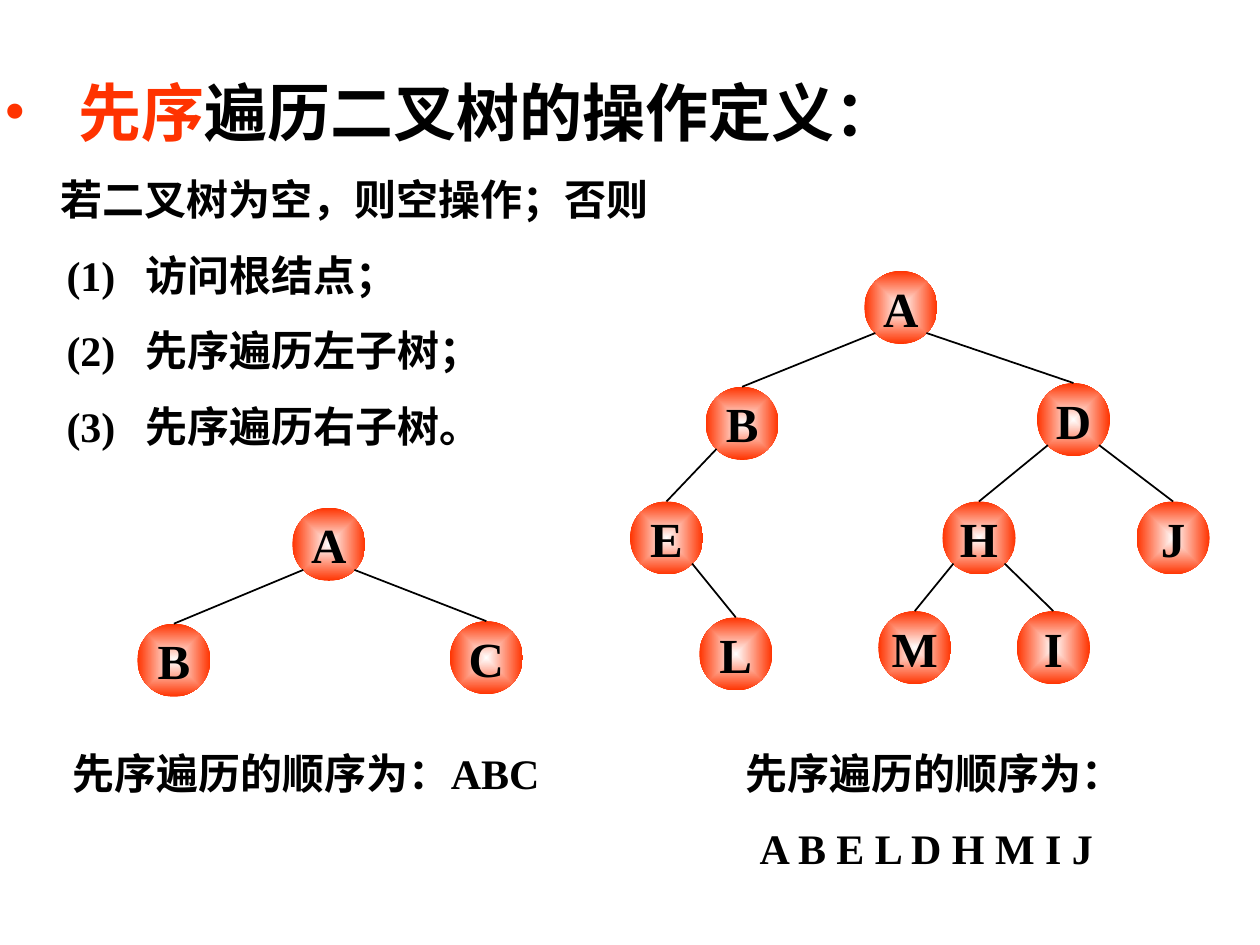
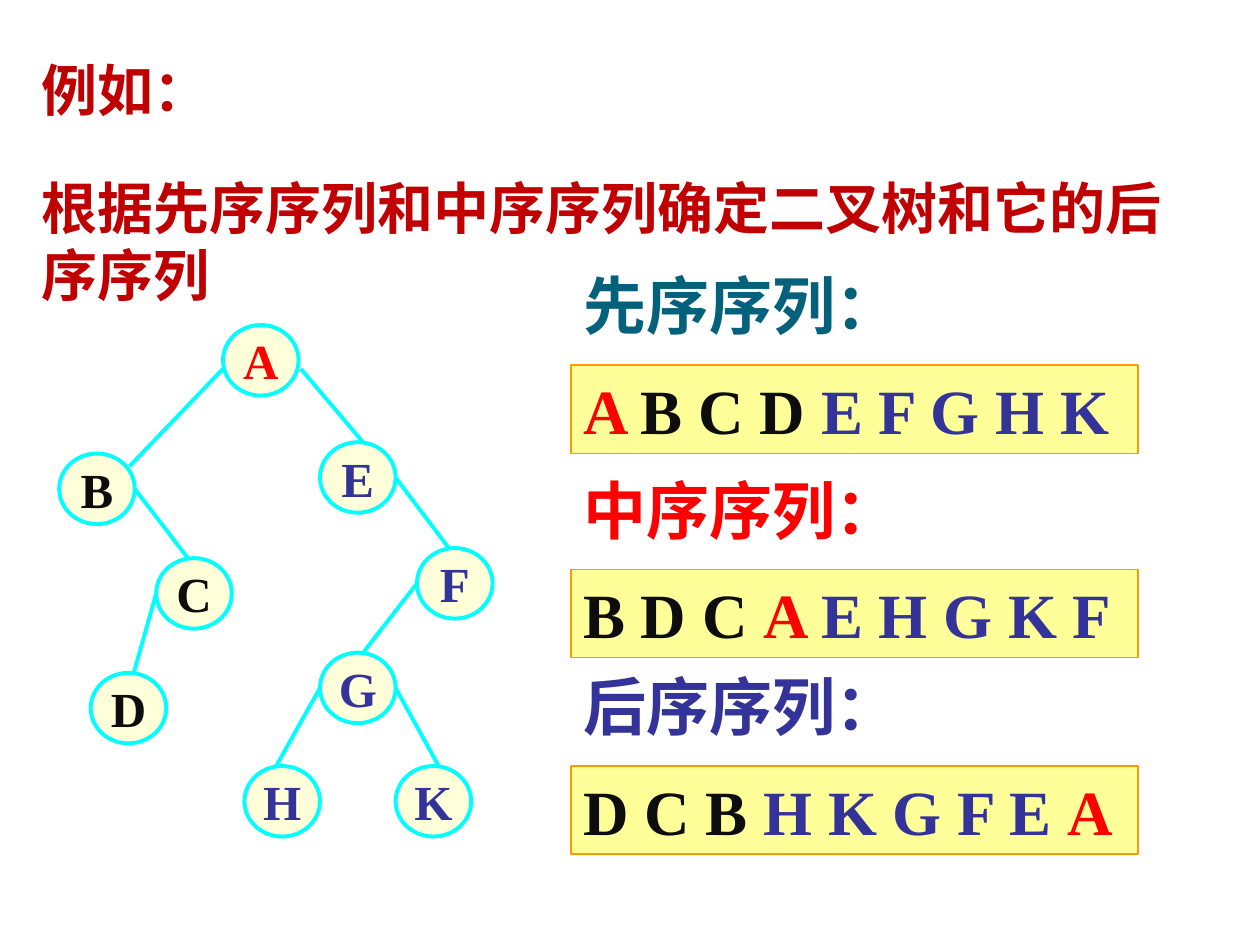
from itertools import groupby

from lxml import etree
from pptx import Presentation
from pptx.dml.color import RGBColor
from pptx.enum.shapes import MSO_CONNECTOR, MSO_SHAPE
from pptx.enum.text import MSO_ANCHOR, MSO_AUTO_SIZE, PP_ALIGN
from pptx.oxml.ns import qn
from pptx.util import Inches, Pt

FONT = "Times New Roman"
TITLE_ONLY = 5
OVAL, RECTANGLE = MSO_SHAPE.OVAL, MSO_SHAPE.RECTANGLE
STRAIGHT = MSO_CONNECTOR.STRAIGHT
MIDDLE, TOP_ANCHOR = MSO_ANCHOR.MIDDLE, MSO_ANCHOR.TOP
LEFT_ALIGN, CENTER = PP_ALIGN.LEFT, PP_ALIGN.CENTER

BLACK = RGBColor(0x00, 0x00, 0x00)
WHITE = RGBColor(0xFF, 0xFF, 0xFF)
ORANGE_RED = RGBColor(0xFF, 0x33, 0x00)
RED = RGBColor(0xFF, 0x00, 0x00)
DARK_RED = RGBColor(0xC0, 0x00, 0x00)
TEAL = RGBColor(0x04, 0x61, 0x7B)
INDIGO = RGBColor(0x33, 0x33, 0x99)
INK = RGBColor(0x0D, 0x0D, 0x0D)
CYAN = RGBColor(0x00, 0xFF, 0xFF)
CREAM = RGBColor(0xFF, 0xFF, 0xD9)
YELLOW = RGBColor(0xFF, 0xFF, 0x99)
AMBER = RGBColor(0xFF, 0x99, 0x00)

# Points on a node, as shares of its width and height
LEFT, RIGHT, TOP = (0, 0.5), (1, 0.5), (0.5, 0)
LOWER_LEFT, LOWER_RIGHT = (0.15, 0.85), (0.85, 0.85)
TOP_LEFT, TOP_RIGHT = (0.42, 0), (0.57, 0)

# Slide 1
DEFINITION_TITLE = [("先序", ORANGE_RED), ("遍历二叉树的操作定义：", BLACK)]
DEFINITION_INTRO = "若二叉树为空，则空操作；否则"
DEFINITION_STEPS = ["访问根结点；", "先序遍历左子树；", "先序遍历右子树。"]
ORDER_NOTES = [
    ("先序遍历的顺序为：ABC", (0.48, 5.88, 4.25, 0.5)),
    ("先序遍历的顺序为：", (5.82, 5.88, 3.58, 0.5)),
    ("A B E L D H M I J", (5.93, 6.48, 2.97, 0.5)),
]
# Each tree: node positions, then (parent, child, start, end) branches
SMALL_TREE = (
    {"A": (2.32, 4.03), "B": (1.09, 4.95), "C": (3.57, 4.93)},
    [("A", "B", LOWER_LEFT, TOP), ("A", "C", LOWER_RIGHT, TOP)],
)
LARGE_TREE = (
    {
        "A": (6.86, 2.15), "B": (5.6, 3.07), "D": (8.23, 3.04),
        "E": (5, 3.98), "H": (7.48, 3.98), "J": (9.02, 3.98),
        "L": (5.55, 4.9), "M": (6.97, 4.85), "I": (8.07, 4.85),
    },
    [
        ("A", "B", LOWER_LEFT, TOP), ("A", "D", LOWER_RIGHT, TOP),
        ("B", "E", LOWER_LEFT, TOP), ("E", "L", LOWER_RIGHT, TOP),
        ("D", "H", LOWER_LEFT, TOP), ("D", "J", LOWER_RIGHT, TOP),
        ("H", "M", LOWER_LEFT, TOP), ("H", "I", LOWER_RIGHT, TOP),
    ],
)

# Slide 2
EXAMPLE_TITLE = [("例如：", DARK_RED)]
EXAMPLE_TASK = "根据先序序列和中序序列确定二叉树和它的后序序列"
EXAMPLE_TREE = (
    {
        "A": (1.77, 2.58), "B": (0.47, 3.6), "C": (1.24, 4.43),
        "D": (0.72, 5.34), "E": (2.54, 3.51), "F": (3.31, 4.35),
        "G": (2.54, 5.18), "H": (1.94, 6.08), "K": (3.14, 6.08),
    },
    [
        ("A", "B", (0, 0.62), (0.93, 0.18)), ("B", "C", RIGHT, TOP_LEFT),
        ("C", "D", LEFT, TOP_RIGHT), ("A", "E", (1.03, 0.62), TOP_RIGHT),
        ("E", "F", RIGHT, TOP_LEFT), ("F", "G", LEFT, TOP_RIGHT),
        ("G", "H", LEFT, TOP_LEFT), ("G", "K", RIGHT, TOP_RIGHT),
    ],
)
SEQUENCES = [
    ("先序序列：", TEAL, "ABCDEFGHK", 2.07),
    ("中序序列：", RED, "BDCAEHGKF", 3.69),
    ("后序序列：", INDIGO, "DCBHKGFEA", 5.25),
]
SEQUENCE_LEFT, SEQUENCE_WIDTH, SEQUENCE_DROP = 4.53, 4.5, 0.83


def letter_colour(letter):
    """Root red, left subtree dark, right subtree indigo."""
    return RED if letter == "A" else INK if letter in "BCD" else INDIGO


def inches(values):
    return [Inches(value) for value in values]


def write_spans(para, spans, size):
    for text, colour in spans:
        span = para.add_run()
        span.text = text
        span.font.color.rgb = colour
    para.font.name = FONT
    para.font.size = Pt(size)
    para.font.bold = True


def hang(para, margin, indent):
    properties = para._p.get_or_add_pPr()
    properties.set("marL", str(Inches(margin)))
    properties.set("indent", str(Inches(indent)))
    return properties


def add_text(slide, spans, place, size):
    frame = slide.shapes.add_textbox(*inches(place)).text_frame
    frame.word_wrap = True
    write_spans(frame.paragraphs[0], spans, size)
    return frame


def set_title(slide, spans, place, size):
    title = slide.shapes.title
    title.left, title.top, title.width, title.height = inches(place)
    frame = title.text_frame
    frame.word_wrap = True
    frame.auto_size = MSO_AUTO_SIZE.NONE
    frame.vertical_anchor = MIDDLE
    para = frame.paragraphs[0]
    para.alignment = LEFT_ALIGN
    return frame, para, lambda: write_spans(para, spans, size)


def add_filled(slide, kind, place, spans, size):
    shape = slide.shapes.add_shape(kind, *inches(place))
    shape.shadow.inherit = False
    write_spans(shape.text_frame.paragraphs[0], spans, size)
    return shape


def paint_glow(node):
    """White centre fading to orange-red at the rim."""
    node.line.fill.background()
    node.fill.gradient()
    for stop, colour in zip(node.fill.gradient_stops, (WHITE, ORANGE_RED)):
        stop.color.rgb = colour
    gradient = node._element.spPr.find(qn("a:gradFill"))
    gradient.remove(gradient.find(qn("a:lin")))
    shade = etree.SubElement(gradient, qn("a:path"), path="rect")
    etree.SubElement(shade, qn("a:fillToRect"), l="50000", t="50000", r="50000", b="50000")


def paint_outlined(node):
    paint_flat(node, CREAM, CYAN, 2.25)


def paint_flat(shape, fill, line, width):
    shape.fill.solid()
    shape.fill.fore_color.rgb = fill
    shape.line.color.rgb = line
    shape.line.width = Pt(width)


def add_tree(slide, tree, node_size, paint, colour_of, branch_colour, branch_width):
    nodes, branches = tree
    for letter, corner in nodes.items():
        node = add_filled(slide, OVAL, corner + node_size, [(letter, colour_of(letter))], 28)
        paint(node)
        frame = node.text_frame
        frame.word_wrap = False
        frame.vertical_anchor = MIDDLE
        frame.paragraphs[0].alignment = CENTER

    def point(letter, share):
        return [Inches(corner + part * length)
                for corner, part, length in zip(nodes[letter], share, node_size)]

    for parent, child, start, end in branches:
        branch = slide.shapes.add_connector(STRAIGHT, *point(parent, start), *point(child, end))
        branch.line.color.rgb = branch_colour
        branch.line.width = Pt(branch_width)
        etree.SubElement(branch._element.spPr, qn("a:effectLst"))


def build_definition(slide):
    frame, para, write = set_title(slide, DEFINITION_TITLE, (0, 0.53, 8, 0.7), 36)
    frame.margin_left = Inches(0.03)
    properties = hang(para, 0.59, -0.59)
    bullet_colour = etree.SubElement(properties, qn("a:buClr"))
    etree.SubElement(bullet_colour, qn("a:srgbClr"), val=str(ORANGE_RED))
    etree.SubElement(properties, qn("a:buFont"), typeface=FONT)
    etree.SubElement(properties, qn("a:buChar"), char="•")
    write()

    body = add_text(slide, [(DEFINITION_INTRO, BLACK)], (0.38, 1.13, 5.5, 2.5), 24)
    for number, step in enumerate(DEFINITION_STEPS, 1):
        para = body.add_paragraph()
        hang(para, 0.68, -0.63)
        write_spans(para, [(f"({number})\t{step}", BLACK)], 24)
    for para in body.paragraphs:
        para.line_spacing = 1.5

    for note, place in ORDER_NOTES:
        add_text(slide, [(note, BLACK)], place, 24)
    for tree in (SMALL_TREE, LARGE_TREE):
        add_tree(slide, tree, (0.58, 0.58), paint_glow, lambda letter: BLACK, BLACK, 1)


def build_example(slide):
    write = set_title(slide, EXAMPLE_TITLE, (0.23, 0.39, 7.79, 0.64), 32)[-1]
    write()
    add_text(slide, [(EXAMPLE_TASK, DARK_RED)], (0.23, 1.33, 9.53, 1.17), 32)
    add_tree(slide, EXAMPLE_TREE, (0.6, 0.56), paint_outlined, letter_colour, CYAN, 2.25)

    for name, colour, letters, top in SEQUENCES:
        add_text(slide, [(name, colour)], (SEQUENCE_LEFT, top, 2.83, 0.7), 36)
        spans = [(" ".join(group) + " ", shade) for shade, group in groupby(letters, letter_colour)]
        spans[-1] = (spans[-1][0].rstrip(), spans[-1][1])
        place = (SEQUENCE_LEFT, top + SEQUENCE_DROP, SEQUENCE_WIDTH, 0.7)
        box = add_filled(slide, RECTANGLE, place, spans, 36)
        paint_flat(box, YELLOW, AMBER, 1)
        box.text_frame.vertical_anchor = TOP_ANCHOR
        box.text_frame.paragraphs[0].alignment = LEFT_ALIGN


def main():
    deck = Presentation()
    deck.slide_width, deck.slide_height = Inches(10), Inches(7.5)
    for build in (build_definition, build_example):
        build(deck.slides.add_slide(deck.slide_layouts[TITLE_ONLY]))
    deck.save("out.pptx")


if __name__ == "__main__":
    main()
